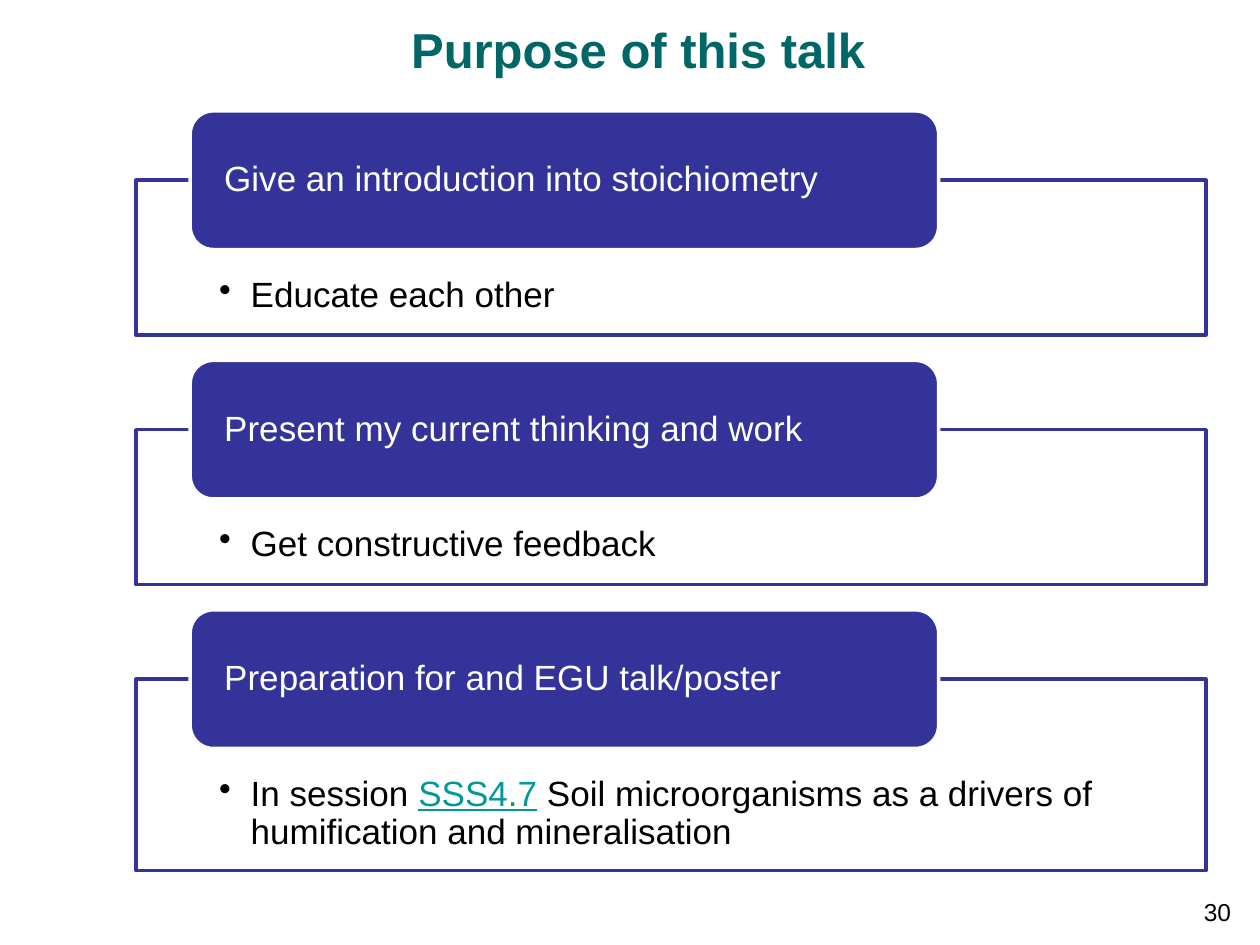
"""Build the slide "Purpose of this talk" with three headed goal boxes."""
import lxml.etree
import pptx
import pptx.dml.color
import pptx.enum.shapes
import pptx.enum.text
import pptx.oxml.ns
import pptx.util

Pt = pptx.util.Pt
SHAPE = pptx.enum.shapes.MSO_SHAPE
ALIGN = pptx.enum.text.PP_ALIGN
ANCHOR = pptx.enum.text.MSO_ANCHOR

BLACK = pptx.dml.color.RGBColor(0x00, 0x00, 0x00)
WHITE = pptx.dml.color.RGBColor(0xFF, 0xFF, 0xFF)
INDIGO = pptx.dml.color.RGBColor(0x33, 0x33, 0x99)
TEAL = pptx.dml.color.RGBColor(0x00, 0x66, 0x66)
LINK_TEAL = pptx.dml.color.RGBColor(0x00, 0x99, 0x99)

FIRST_HEADER_TOP = 63.4
GOAL_PITCH = 142.56
HEADER_HEIGHT = 79.2
GOALS = [
    ("Give an introduction into stoichiometry", 88.6,
     [("Educate each other", False)]),
    ("Present my current thinking and work", 88.6,
     [("Get constructive feedback", False)]),
    ("Preparation for and EGU talk/poster", 109.4,
     [("In session ", False), ("SSS4.7", True),
      (" Soil microorganisms as a drivers of humification and mineralisation", False)]),
]


def add_run(paragraph, text, size, color, bold=False, underline=False):
    run = paragraph.add_run()
    run.text = text
    run.font.name = "Arial"
    run.font.size = Pt(size)
    run.font.color.rgb = color
    run.font.bold = bold
    run.font.underline = underline


def set_frame(shape, anchor, alignment, margins):
    frame = shape.text_frame
    frame.word_wrap = True
    frame.vertical_anchor = anchor
    left, top, right, bottom = margins
    frame.margin_left, frame.margin_top = Pt(left), Pt(top)
    frame.margin_right, frame.margin_bottom = Pt(right), Pt(bottom)
    paragraph = frame.paragraphs[0]
    paragraph.alignment = alignment
    return paragraph


def add_label(slide, box, text, size, color, anchor, alignment, bold=False):
    shape = slide.shapes.add_textbox(*map(Pt, box))
    paragraph = set_frame(shape, anchor, alignment, (7.2, 3.6, 7.2, 3.6))
    add_run(paragraph, text, size, color, bold)


def add_box(slide, kind, box, fill, line):
    shape = slide.shapes.add_shape(kind, *map(Pt, box))
    shape.shadow.inherit = False
    shape.fill.solid()
    shape.fill.fore_color.rgb = fill
    shape.line.color.rgb = line
    shape.line.width = Pt(2)
    return shape


def add_bullet(paragraph):
    properties = paragraph._p.get_or_add_pPr()
    properties.set("marL", str(Pt(18)))
    properties.set("indent", str(-Pt(18)))
    bullet = lxml.etree.SubElement(properties, pptx.oxml.ns.qn("a:buChar"))
    bullet.set("char", "•")


def add_goal(slide, header_top, heading, detail_height, detail_runs):
    detail_box = (77.76, header_top + HEADER_HEIGHT / 2, 611.3, detail_height)
    detail = add_box(slide, SHAPE.RECTANGLE, detail_box, WHITE, INDIGO)
    paragraph = set_frame(detail, ANCHOR.TOP, ALIGN.LEFT, (47.5, 55.4, 47.5, 11.5))
    paragraph.line_spacing = 0.9
    add_bullet(paragraph)
    for text, is_link in detail_runs:
        add_run(paragraph, text, 20, LINK_TEAL if is_link else BLACK, underline=is_link)

    header_box = (108.7, header_top, 427.7, HEADER_HEIGHT)
    header = add_box(slide, SHAPE.ROUNDED_RECTANGLE, header_box, INDIGO, WHITE)
    paragraph = set_frame(header, ANCHOR.MIDDLE, ALIGN.LEFT, (15.6, 0, 15.6, 0))
    paragraph.line_spacing = 0.9
    add_run(paragraph, heading, 20, WHITE)


def main():
    presentation = pptx.Presentation()
    presentation.slide_width = Pt(720)
    presentation.slide_height = Pt(540)
    slide = presentation.slides.add_slide(presentation.slide_layouts[6])

    add_label(slide, (67.7, 7.2, 594, 41.8), "Purpose of this talk", 28, TEAL,
              ANCHOR.MIDDLE, ALIGN.CENTER, bold=True)
    for index, goal in enumerate(GOALS):
        add_goal(slide, FIRST_HEADER_TOP + index * GOAL_PITCH, *goal)
    add_label(slide, (662.4, 509, 48.2, 21.6), "30", 14, BLACK, ANCHOR.TOP, ALIGN.RIGHT)

    presentation.save("out.pptx")


if __name__ == "__main__":
    main()
